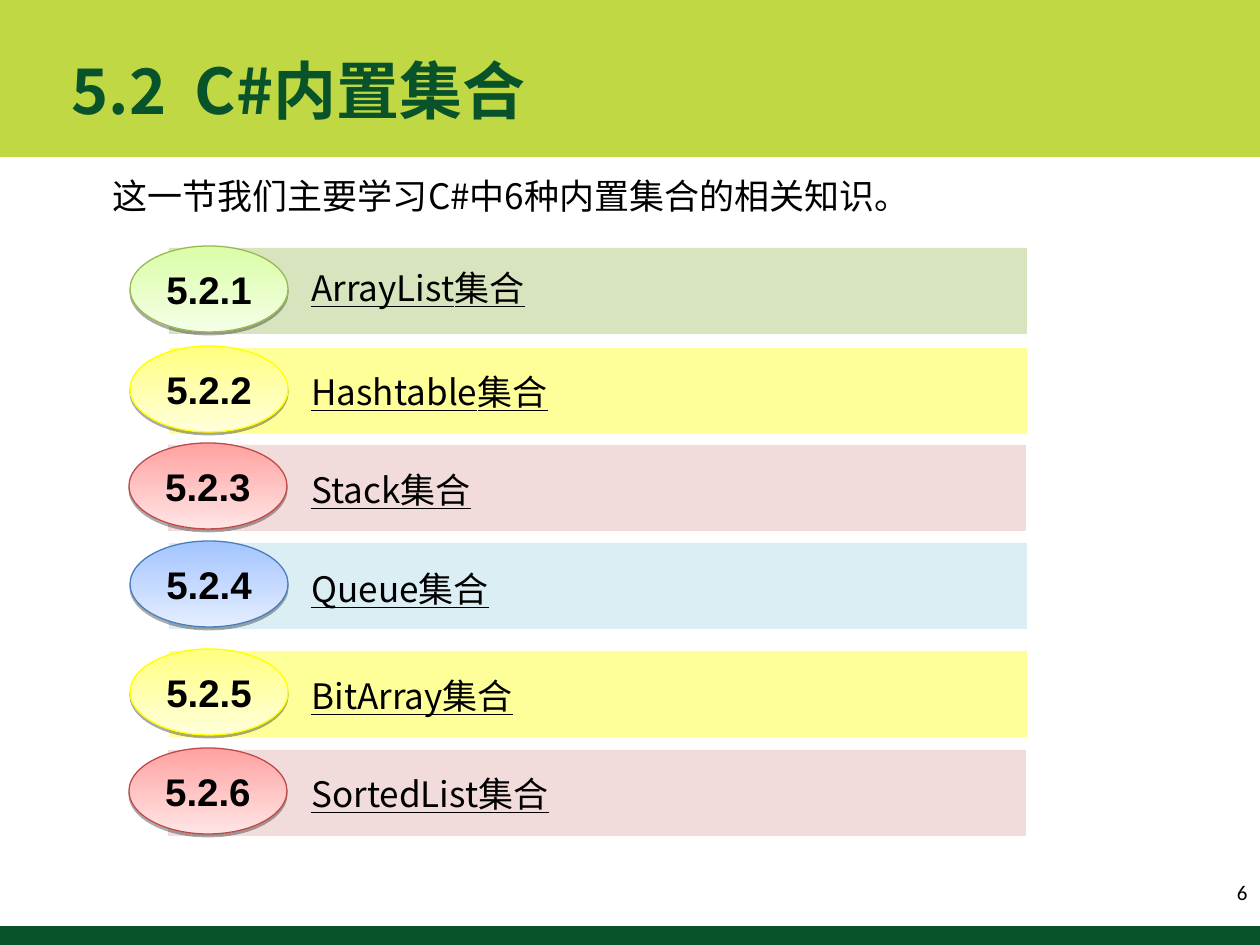
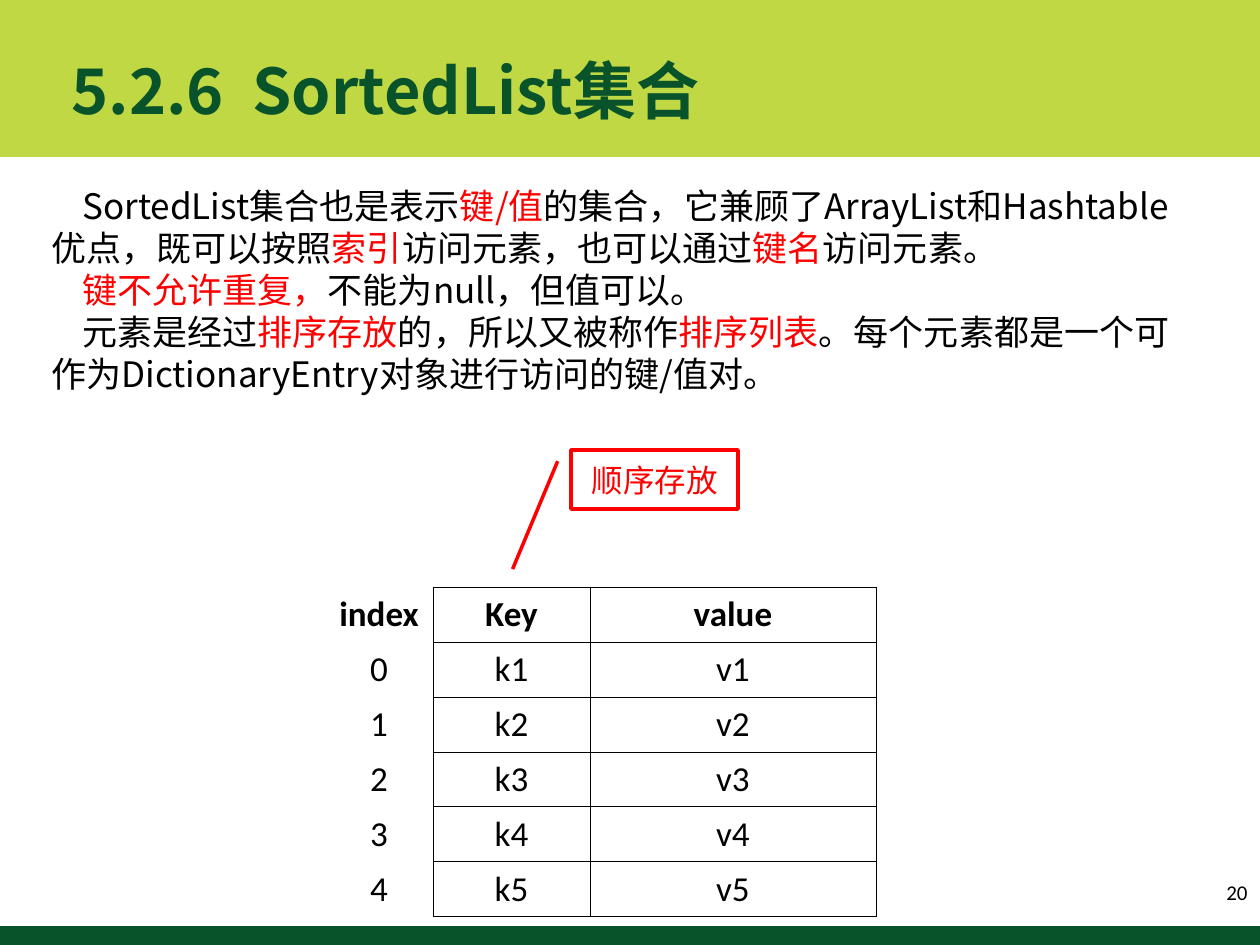
from dataclasses import dataclass
from typing import NamedTuple

from lxml import etree
from pptx import Presentation
from pptx.dml.color import RGBColor
from pptx.enum.shapes import MSO_SHAPE
from pptx.enum.text import MSO_ANCHOR, MSO_AUTO_SIZE, PP_ALIGN
from pptx.oxml.ns import qn
from pptx.util import Emu, Pt

RECTANGLE = MSO_SHAPE.RECTANGLE
OVAL = MSO_SHAPE.OVAL
CALLOUT = MSO_SHAPE.LINE_CALLOUT_1
LEFT, CENTER, RIGHT = PP_ALIGN.LEFT, PP_ALIGN.CENTER, PP_ALIGN.RIGHT
TOP, MIDDLE = MSO_ANCHOR.TOP, MSO_ANCHOR.MIDDLE

PIXELS_PER_INCH = 126
SLIDE_WIDTH, SLIDE_HEIGHT = 1260, 945
TITLE_ONLY_LAYOUT = 5
FIRST_LINE_INDENT = 31

CJK_FONT = "Noto Sans CJK SC"
LATIN_FONT = "Calibri"
BADGE_FONT = "Arial"

BLACK = RGBColor(0x00, 0x00, 0x00)
WHITE = RGBColor(0xFF, 0xFF, 0xFF)
RED = RGBColor(0xFF, 0x00, 0x00)
LIME = RGBColor(0xBF, 0xD8, 0x44)
DARK_GREEN = RGBColor(0x09, 0x53, 0x2A)


class Box(NamedTuple):
    left: int
    top: int
    width: int
    height: int


class TextStyle(NamedTuple):
    size: int
    font: str = CJK_FONT
    color: RGBColor = BLACK
    bold: bool = False
    underline: bool = False


class Span(NamedTuple):
    text: str
    color: RGBColor = BLACK


class Palette(NamedTuple):
    band: RGBColor
    badge_top: RGBColor
    badge_bottom: RGBColor
    outline: RGBColor


@dataclass(frozen=True)
class Section:
    name: str
    palette: Palette
    top: int
    label_top: int
    left: int = 169


TITLE = TextStyle(36, color=DARK_GREEN, bold=True)
BODY = TextStyle(20)
LABEL = TextStyle(20, underline=True)
BADGE = TextStyle(22, BADGE_FONT, bold=True)
PAGE_NUMBER = TextStyle(12, LATIN_FONT)
CALLOUT_TEXT = TextStyle(18, LATIN_FONT, RED)
CELL = TextStyle(20, LATIN_FONT)

GREEN_PALETTE = Palette(RGBColor(0xD7, 0xE4, 0xBD), RGBColor(0xDA, 0xFD, 0xA7),
                        RGBColor(0xF5, 0xFF, 0xE6), RGBColor(0x98, 0xB9, 0x54))
YELLOW_PALETTE = Palette(RGBColor(0xFF, 0xFF, 0x99), RGBColor(0xFF, 0xFF, 0x80),
                         RGBColor(0xFF, 0xFF, 0xDA), RGBColor(0xFF, 0xFF, 0x00))
RED_PALETTE = Palette(RGBColor(0xF2, 0xDC, 0xDB), RGBColor(0xFF, 0xA2, 0xA1),
                      RGBColor(0xFF, 0xE5, 0xE5), RGBColor(0xBE, 0x4B, 0x48))
BLUE_PALETTE = Palette(RGBColor(0xDB, 0xEE, 0xF4), RGBColor(0xA3, 0xC4, 0xFF),
                       RGBColor(0xE5, 0xEE, 0xFF), RGBColor(0x4A, 0x7E, 0xBB))

SECTIONS = [
    Section("ArrayList集合", GREEN_PALETTE, 248, 260),
    Section("Hashtable集合", YELLOW_PALETTE, 348, 364),
    Section("Stack集合", RED_PALETTE, 445, 462, left=168),
    Section("Queue集合", BLUE_PALETTE, 543, 561),
    Section("BitArray集合", YELLOW_PALETTE, 651, 668),
    Section("SortedList集合", RED_PALETTE, 750, 766, left=168),
]

SORTED_LIST_PARAGRAPHS = [
    [Span("SortedList集合也是表示"), Span("键/值", RED),
     Span("的集合，它兼顾了ArrayList和Hashtable优点，既可以按照"), Span("索引", RED),
     Span("访问元素，也可以通过"), Span("键名", RED), Span("访问元素。")],
    [Span("键不允许重复，", RED), Span("不能为null，但值可以。")],
    [Span("元素是经过"), Span("排序存放", RED), Span("的，所以又被称作"),
     Span("排序列表", RED),
     Span("。每个元素都是一个可作为DictionaryEntry对象进行访问的键/值对。")],
]

TABLE_ROWS = [("index", "Key", "value")] + [
    (str(index), f"k{index + 1}", f"v{index + 1}") for index in range(5)]
COLUMN_WIDTHS = [108, 157, 286]
ROW_HEIGHT = 55


def px(pixels: int) -> Emu:
    return Emu(round(pixels * 914400 / PIXELS_PER_INCH))


def scaled(box: Box) -> list[Emu]:
    return [px(length) for length in box]


def add_run(paragraph, text: str, style: TextStyle) -> None:
    run = paragraph.add_run()
    run.text = text
    font = run.font
    font.size = Pt(style.size)
    font.bold = style.bold
    font.underline = style.underline
    font.color.rgb = style.color
    font.name = style.font
    east_asian = etree.SubElement(run._r.get_or_add_rPr(), qn("a:ea"))
    east_asian.set("typeface", CJK_FONT)


def write_line(text_frame, text: str, style: TextStyle, alignment=LEFT, anchor=MIDDLE) -> None:
    text_frame.word_wrap = True
    text_frame.vertical_anchor = anchor
    paragraph = text_frame.paragraphs[0]
    paragraph.alignment = alignment
    add_run(paragraph, text, style)


def add_body_text(slide, box: Box, paragraphs: list[list[Span]],
                  style: TextStyle = BODY, indent: int = 0) -> None:
    text_frame = slide.shapes.add_textbox(*scaled(box)).text_frame
    text_frame.word_wrap = True
    text_frame.vertical_anchor = TOP
    for number, spans in enumerate(paragraphs):
        paragraph = text_frame.add_paragraph() if number else text_frame.paragraphs[0]
        paragraph.line_spacing = Pt(24)
        paragraph._p.get_or_add_pPr().set("indent", str(px(indent)))
        for span in spans:
            add_run(paragraph, span.text, style._replace(color=span.color))


def add_plain_shape(shapes, kind, box: Box, fill: RGBColor | None = None):
    shape = shapes.add_shape(kind, *scaled(box))
    shape.shadow.inherit = False
    if fill is None:
        shape.fill.background()
    else:
        shape.fill.solid()
        shape.fill.fore_color.rgb = fill
    shape.line.fill.background()
    return shape


def set_outline(shape, color: RGBColor, width: float) -> None:
    shape.line.color.rgb = color
    shape.line.width = Pt(width)


def add_drop_shadow(shape) -> None:
    effects = shape._element.spPr.find(qn("a:effectLst"))
    shadow = etree.SubElement(effects, qn("a:outerShdw"), blurRad="0", dist=str(Pt(1.6)),
                              dir="5400000", algn="t", rotWithShape="0")
    color = etree.SubElement(shadow, qn("a:srgbClr"), val=str(BLACK))
    etree.SubElement(color, qn("a:alpha"), val="33000")


def add_framed_slide(presentation, title: str, page: int):
    """Add a slide with the shared bands, title and page number."""
    slide = presentation.slides.add_slide(presentation.slide_layouts[TITLE_ONLY_LAYOUT])
    placeholder = slide.shapes.title
    bands = [add_plain_shape(slide.shapes, RECTANGLE, Box(0, 0, SLIDE_WIDTH, 157), LIME),
             add_plain_shape(slide.shapes, RECTANGLE, Box(0, 926, SLIDE_WIDTH, 19), DARK_GREEN)]
    for band in bands:
        placeholder._element.addprevious(band._element)
    placeholder.left, placeholder.top, placeholder.width, placeholder.height = scaled(
        Box(59, 29, 935, 120))
    placeholder.text_frame.auto_size = MSO_AUTO_SIZE.NONE
    write_line(placeholder.text_frame, title, TITLE)
    number_box = slide.shapes.add_textbox(*scaled(Box(966, 867, 294, 50)))
    write_line(number_box.text_frame, str(page), PAGE_NUMBER, RIGHT)
    return slide


def add_section(slide, number: int, section: Section) -> None:
    palette = section.palette
    group = slide.shapes.add_group_shape()
    add_plain_shape(group.shapes, RECTANGLE, Box(section.left, section.top, 858, 86), palette.band)
    badge = add_plain_shape(group.shapes, OVAL,
                            Box(section.left - 39, section.top - 2, 158, 86))
    badge.fill.gradient()
    badge.fill.gradient_angle = 270
    for stop, color in zip(badge.fill.gradient_stops, (palette.badge_top, palette.badge_bottom)):
        stop.color.rgb = color
    set_outline(badge, palette.outline, 0.75)
    add_drop_shadow(badge)
    write_line(badge.text_frame, f"5.2.{number}", BADGE, CENTER)
    add_body_text(slide, Box(299, section.label_top, 433, 55), [[Span(section.name)]], LABEL)


def set_cell_borders(cell, colors: dict[str, RGBColor]) -> None:
    properties = cell._tc.get_or_add_tcPr()
    for side, color in colors.items():
        line = etree.SubElement(properties, qn(f"a:ln{side}"), w=str(Pt(0.45)))
        fill = etree.SubElement(line, qn("a:solidFill"))
        etree.SubElement(fill, qn("a:srgbClr"), val=str(color))


def add_key_value_table(slide) -> None:
    box = Box(325, 587, sum(COLUMN_WIDTHS), ROW_HEIGHT * len(TABLE_ROWS))
    table = slide.shapes.add_table(len(TABLE_ROWS), len(COLUMN_WIDTHS), *scaled(box)).table
    table.first_row = table.horz_banding = False
    for column, width in zip(table.columns, COLUMN_WIDTHS):
        column.width = px(width)
    for row_number, texts in enumerate(TABLE_ROWS):
        table.rows[row_number].height = px(ROW_HEIGHT)
        for column_number, text in enumerate(texts):
            cell = table.cell(row_number, column_number)
            outer = BLACK if column_number else WHITE
            set_cell_borders(cell, {"L": outer, "R": BLACK, "T": outer, "B": outer})
            cell.fill.solid()
            cell.fill.fore_color.rgb = WHITE
            paragraph = cell.text_frame.paragraphs[0]
            paragraph.alignment = CENTER
            add_run(paragraph, text, CELL._replace(bold=row_number == 0))


def add_order_callout(slide) -> None:
    callout = add_plain_shape(slide.shapes, CALLOUT, Box(571, 450, 167, 59))
    for index, value in enumerate((0.19, -0.08, 2.02, -0.35)):
        callout.adjustments[index] = value
    set_outline(callout, RED, 2)
    write_line(callout.text_frame, "顺序存放", CALLOUT_TEXT, CENTER)


def build_overview_slide(presentation) -> None:
    slide = add_framed_slide(presentation, "5.2  C#内置集合", 6)
    add_body_text(slide, Box(69, 168, 1113, 55),
                  [[Span("这一节我们主要学习C#中6种内置集合的相关知识。")]],
                  indent=FIRST_LINE_INDENT)
    for number, section in enumerate(SECTIONS, start=1):
        add_section(slide, number, section)


def build_sorted_list_slide(presentation) -> None:
    slide = add_framed_slide(presentation, "5.2.6  SortedList集合", 20)
    add_body_text(slide, Box(39, 178, 1172, 223), SORTED_LIST_PARAGRAPHS,
                  indent=FIRST_LINE_INDENT)
    add_key_value_table(slide)
    add_order_callout(slide)


def main() -> None:
    presentation = Presentation()
    presentation.slide_width = px(SLIDE_WIDTH)
    presentation.slide_height = px(SLIDE_HEIGHT)
    build_overview_slide(presentation)
    build_sorted_list_slide(presentation)
    presentation.save("out.pptx")


if __name__ == "__main__":
    main()
